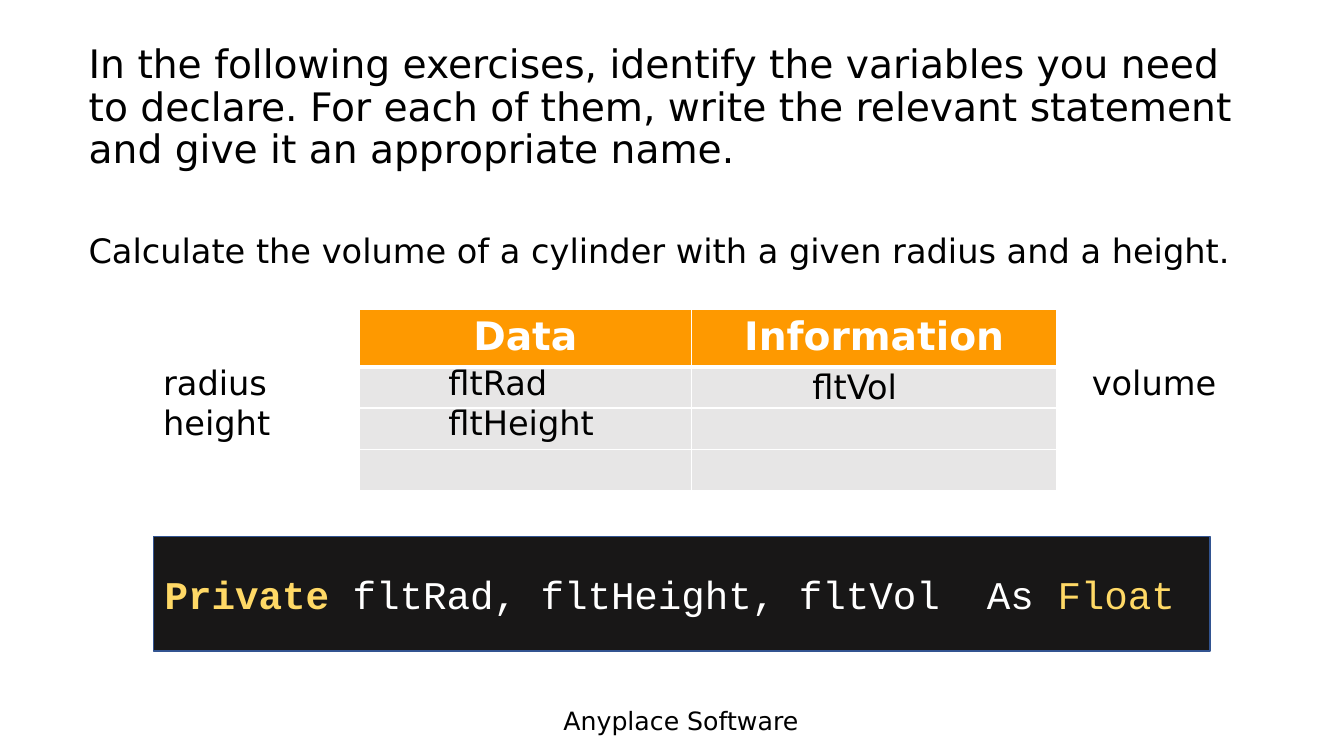
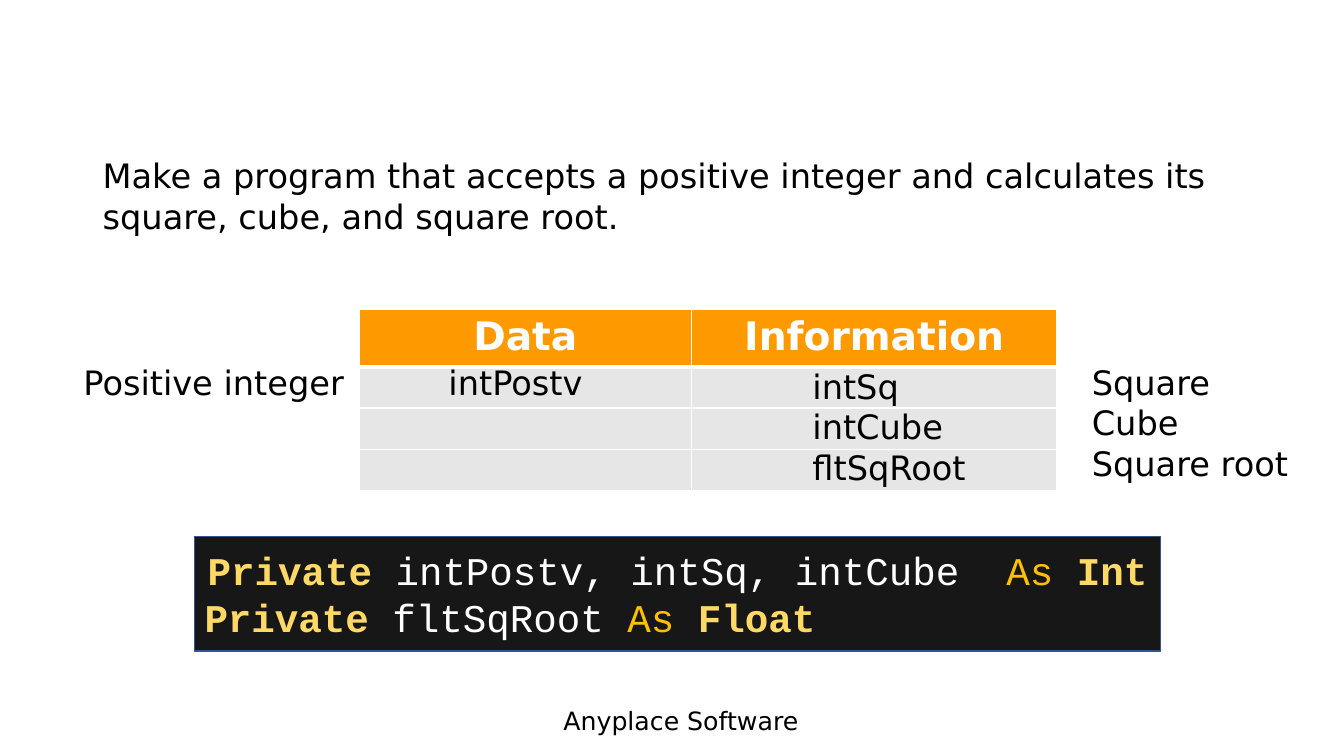
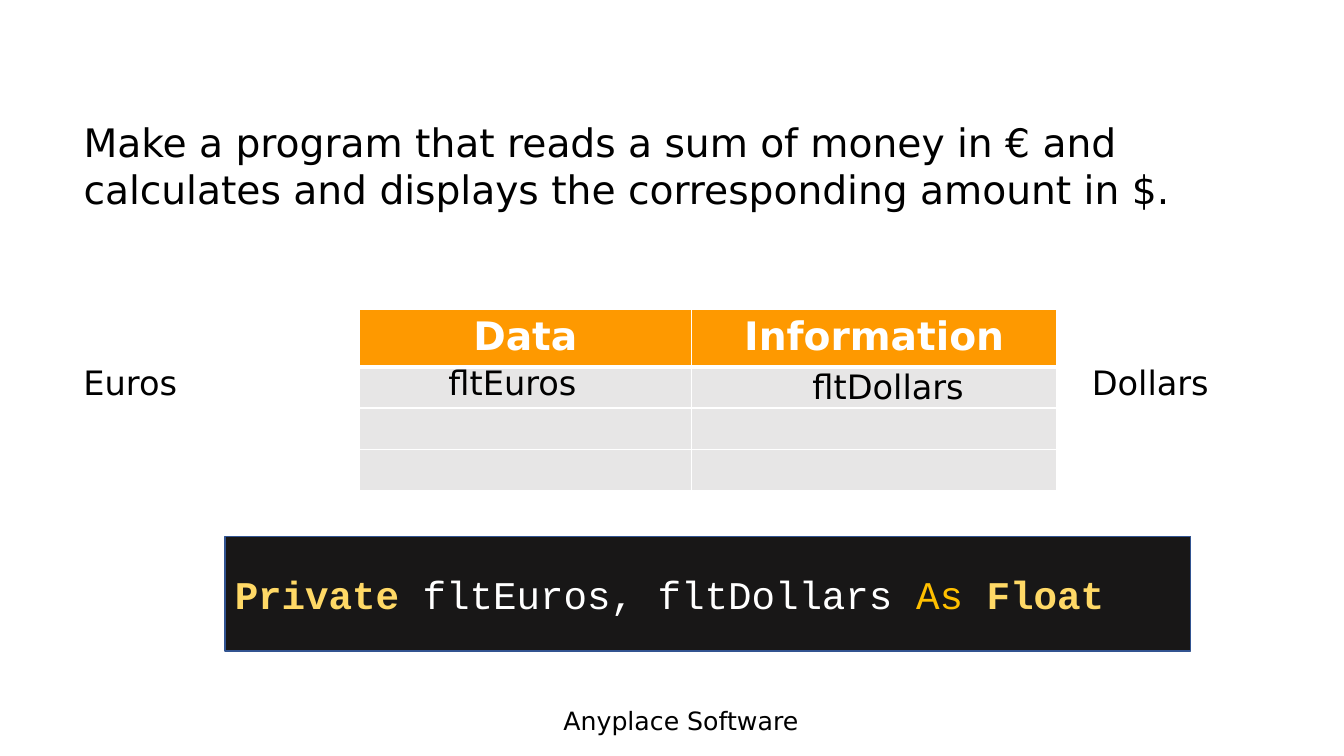
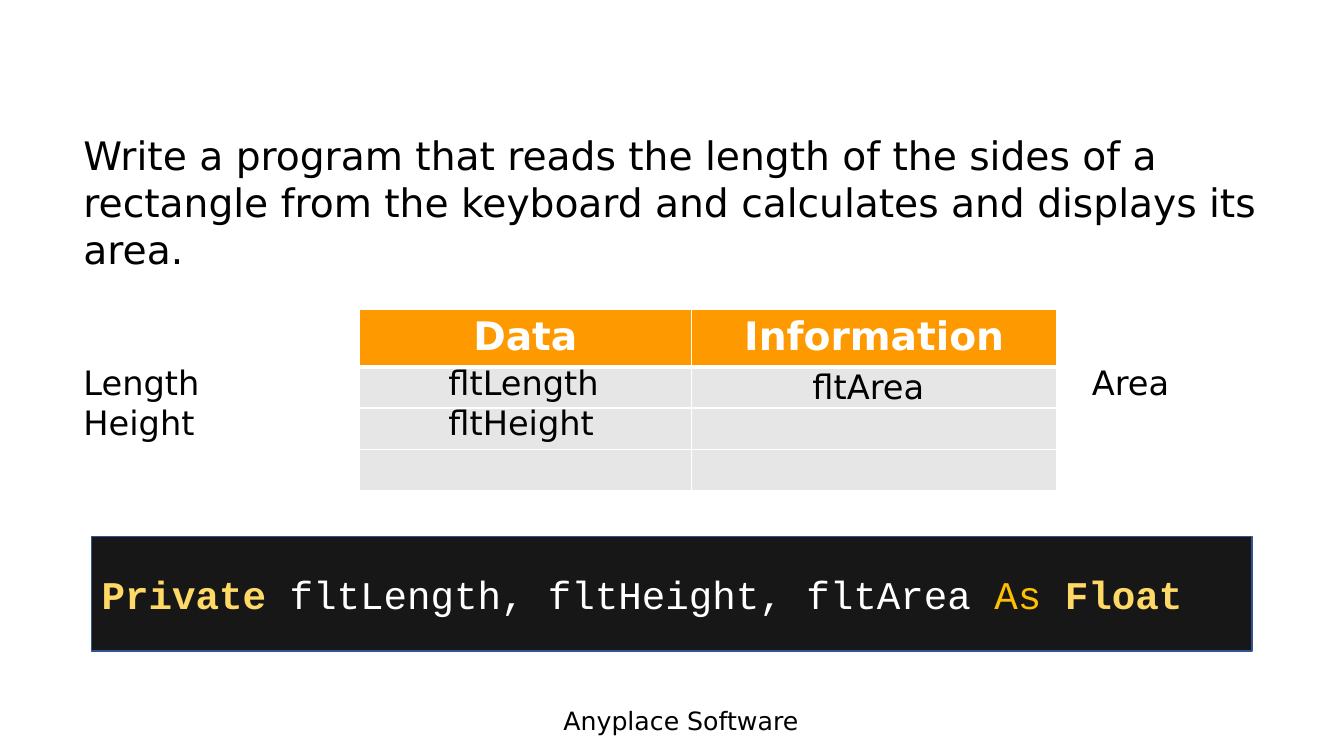
from lxml.etree import SubElement
from pptx import Presentation
from pptx.dml.color import RGBColor
from pptx.enum.shapes import MSO_SHAPE
from pptx.enum.text import MSO_ANCHOR, MSO_AUTO_SIZE, PP_ALIGN
from pptx.oxml import parse_xml
from pptx.oxml.ns import nsdecls, qn
from pptx.util import Inches, Pt

BLACK = RGBColor(0x00, 0x00, 0x00)
WHITE = RGBColor(0xFF, 0xFF, 0xFF)
ORANGE = RGBColor(0xFE, 0x99, 0x00)
PALE_GREY = RGBColor(0xE7, 0xE6, 0xE6)
CODE_BACK = RGBColor(0x18, 0x17, 0x17)
CODE_EDGE = RGBColor(0x32, 0x54, 0x91)
YELLOW = RGBColor(0xFF, 0xD9, 0x66)
GOLD = RGBColor(0xFF, 0xC0, 0x00)

BODY_FONT = "DejaVu Sans"
CODE_FONT = "Courier New"
TITLE_LAYOUT, BLANK_LAYOUT = 5, 6

# Code styles: colour, bold
KEYWORD = (YELLOW, True)
NAMES = (WHITE, False)
AS = (GOLD, False)
PLAIN_TYPE = (YELLOW, False)


class ExerciseDeck:
    """Holds the shared style and the slide being filled."""

    def __init__(self):
        self.prs = Presentation()
        self.prs.slide_width = Inches(13.33)
        self.prs.slide_height = Inches(7.5)
        self.slide = None

    def new_slide(self, layout):
        self.slide = self.prs.slides.add_slide(self.prs.slide_layouts[layout])

    def run(self, paragraph, text, size, color=BLACK, bold=False, font=BODY_FONT):
        run = paragraph.add_run()
        run.text = text
        run.font.name = font
        run.font.size = Pt(size)
        run.font.bold = bold
        run.font.color.rgb = color

    def paragraphs(self, frame, count):
        return [frame.paragraphs[0]] + [frame.add_paragraph() for _ in range(count - 1)]

    def title(self, text):
        title = self.slide.shapes.title
        title.left, title.top = Inches(0.78), Inches(0.27)
        title.width, title.height = Inches(11.63), Inches(1.61)
        frame = title.text_frame
        frame.word_wrap = True
        frame.auto_size = MSO_AUTO_SIZE.NONE
        frame.vertical_anchor = MSO_ANCHOR.MIDDLE
        paragraph = frame.paragraphs[0]
        paragraph.alignment = PP_ALIGN.LEFT
        paragraph.line_spacing = 0.9
        self.run(paragraph, text, 28)

    def text(self, left, top, width, height, lines, size=24):
        box = self.slide.shapes.add_textbox(
            Inches(left), Inches(top), Inches(width), Inches(height))
        frame = box.text_frame
        frame.word_wrap = True
        frame.auto_size = MSO_AUTO_SIZE.SHAPE_TO_FIT_TEXT
        for paragraph, line in zip(self.paragraphs(frame, len(lines)), lines):
            self.run(paragraph, line, size)
        return box

    def master_footer(self, text):
        """Write the footer once, on the master that every layout follows."""
        footer = self.text(5.49, 6.95, 2.9, 0.4, [text], 18)
        self.prs.slide_master.shapes.element.append(footer.element)

    def cell_borders(self, cell, top, bottom):
        properties = cell._tc.get_or_add_tcPr()
        widths = {"lnL": 1, "lnR": 1, "lnT": top, "lnB": bottom}
        for index, (side, width) in enumerate(widths.items()):
            line = parse_xml(f'<a:{side} {nsdecls("a")} w="{Pt(width)}"/>')
            fill = SubElement(line, qn("a:solidFill"))
            SubElement(fill, qn("a:srgbClr"), val=str(WHITE))
            properties.insert(index, line)

    def data_table(self):
        headings = ["Data", "Information"]
        table = self.slide.shapes.add_table(
            4, 2, Inches(3.56), Inches(3.07), Inches(6.92), Inches(1.78)).table
        for column, width in zip(table.columns, (3.3, 3.62)):
            column.width = Inches(width)
        for index, row in enumerate(table.rows):
            row.height = Inches(0.55 if index == 0 else 0.41)
            for cell, heading in zip(row.cells, headings):
                cell.fill.solid()
                cell.fill.fore_color.rgb = PALE_GREY if index else ORANGE
                self.cell_borders(cell, 3 if index == 1 else 1, 1 if index else 3)
                if index == 0:
                    paragraph = cell.text_frame.paragraphs[0]
                    paragraph.alignment = PP_ALIGN.CENTER
                    self.run(paragraph, heading, 28, WHITE, True)

    def code(self, left, width, lines):
        """Draw declarations; each line is an alignment and its (text, style) runs."""
        panel = self.slide.shapes.add_shape(
            MSO_SHAPE.RECTANGLE, Inches(left), Inches(5.32), Inches(width), Inches(1.14))
        panel.shadow.inherit = False
        panel.fill.solid()
        panel.fill.fore_color.rgb = CODE_BACK
        panel.line.color.rgb = CODE_EDGE
        panel.line.width = Pt(1)
        frame = panel.text_frame
        frame.word_wrap = True
        frame.vertical_anchor = MSO_ANCHOR.MIDDLE
        for paragraph, (alignment, pieces) in zip(self.paragraphs(frame, len(lines)), lines):
            paragraph.alignment = alignment
            for text, (color, bold) in pieces:
                self.run(paragraph, text, 28, color, bold, CODE_FONT)

    def exercise(self, prompt, inputs, input_names, outputs, output_names, code,
                 inputs_left=0.73):
        """Add a prompt, the data table with its labels, and the declarations."""
        self.text(*prompt)
        self.data_table()
        self.text(inputs_left, 3.54, 3.56 - inputs_left, 1.31, inputs)
        self.text(10.73, 3.54, 2.45, 1.31, outputs)
        self.text(4.35, 3.54, 2.04, 1.31, input_names)
        self.text(7.96, 3.58, 1.96, 1.31, output_names)
        self.code(*code)


def float_declaration(names):
    return [(PP_ALIGN.LEFT, [("Private ", KEYWORD), (names, NAMES),
                             ("As", AS), (" Float", KEYWORD)])]


def main():
    deck = ExerciseDeck()

    deck.new_slide(TITLE_LAYOUT)
    deck.master_footer("Anyplace Software")
    deck.title("In the following exercises, identify the variables you need to declare. "
               "For each of them, write the relevant statement and give it an "
               "appropriate name.")
    deck.exercise(
        (0.78, 2.23, 11.63, 0.5,
         ["Calculate the volume of a cylinder with a given radius and a height."]),
        ["radius", "height"], ["fltRad", "fltHeight"],
        ["volume"], ["fltVol"],
        (1.52, 10.48, [(PP_ALIGN.CENTER, [
            ("Private ", KEYWORD), ("fltRad, fltHeight, fltVol  As ", NAMES),
            ("Float ", PLAIN_TYPE)])]),
        inputs_left=1.52)

    deck.new_slide(BLANK_LAYOUT)
    deck.exercise(
        (0.92, 1.49, 11.61, 0.91,
         ["Make a program that accepts a positive integer and calculates its square, "
          "cube, and square root."]),
        ["Positive integer"], ["intPostv"],
        ["Square", "Cube", "Square root"], ["intSq", "intCube", "fltSqRoot"],
        (1.93, 9.58, [(PP_ALIGN.CENTER, [
            ("Private ", KEYWORD), ("intPostv, intSq, intCube  ", NAMES),
            ("As ", AS), ("Int", KEYWORD)])] + float_declaration("fltSqRoot ")))

    deck.new_slide(BLANK_LAYOUT)
    deck.exercise(
        (0.73, 1.12, 11.69, 1.04,
         ["Make a program that reads a sum of money in € and calculates and displays "
          "the corresponding amount in $."], 28),
        ["Euros"], ["fltEuros"],
        ["Dollars"], ["fltDollars"],
        (2.23, 9.58, float_declaration("fltEuros, fltDollars ")))

    deck.new_slide(BLANK_LAYOUT)
    deck.exercise(
        (0.73, 1.25, 11.87, 1.51,
         ["Write a program that reads the length of the sides of a rectangle from the "
          "keyboard and calculates and displays its", "area."], 28),
        ["Length", "Height"], ["fltLength", "fltHeight"],
        ["Area"], ["fltArea"],
        (0.91, 11.51, float_declaration("fltLength, fltHeight, fltArea ")))

    deck.prs.save("out.pptx")


if __name__ == "__main__":
    main()
